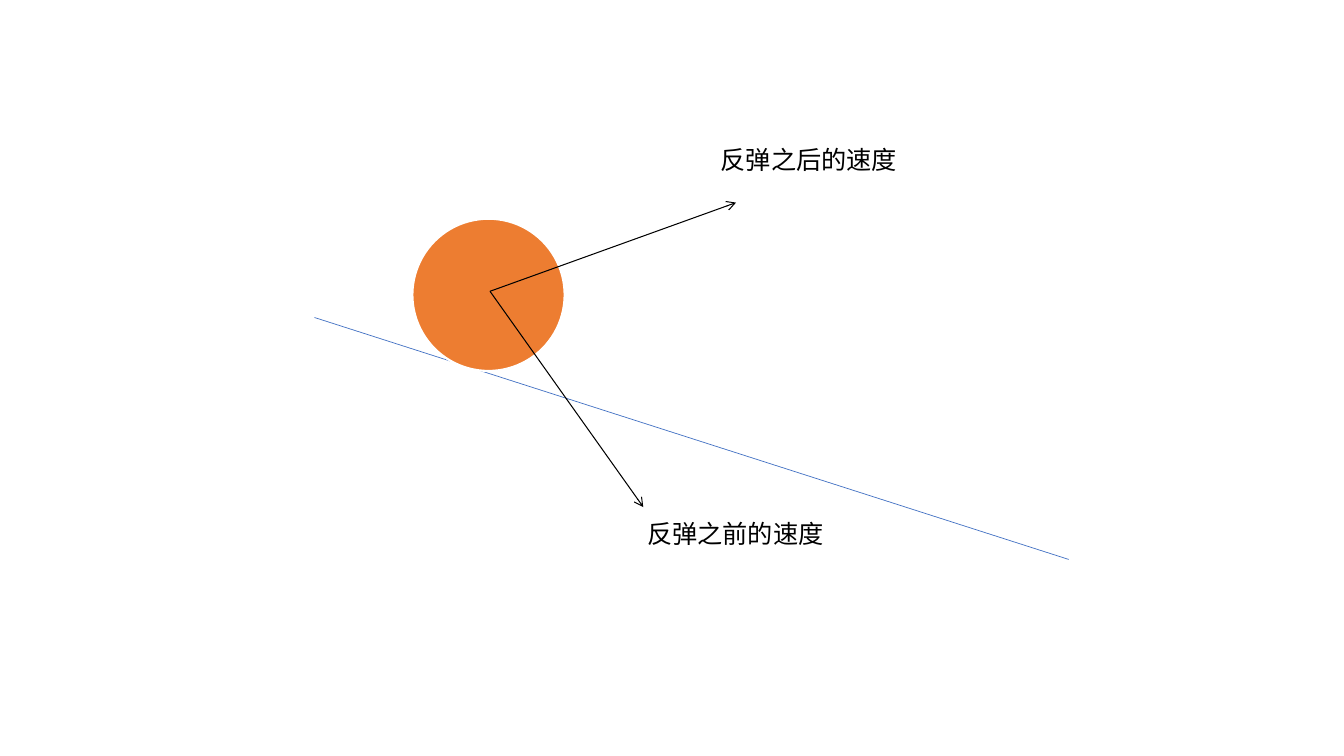
from lxml.etree import SubElement
from pptx import Presentation
from pptx.dml.color import RGBColor
from pptx.enum.shapes import MSO_CONNECTOR, MSO_SHAPE
from pptx.enum.text import MSO_AUTO_SIZE
from pptx.oxml.ns import qn
from pptx.util import Inches, Pt

COLORS = {"wall": "4472C4", "ball": "ED7D31", "edge": "FFFFFF", "ink": "000000"}


class Sketch:
    font = "Noto Sans CJK SC"
    size = 18

    def __init__(self, slide):
        self.shapes = slide.shapes

    def color(self, name):
        return RGBColor.from_string(COLORS[name])

    def stroke(self, line, color, width):
        line.color.rgb = self.color(color)
        line.width = Pt(width)

    def line(self, start, end, color, width):
        points = [Inches(v) for v in (*start, *end)]
        link = self.shapes.add_connector(MSO_CONNECTOR.STRAIGHT, *points)
        self.stroke(link.line, color, width)
        SubElement(link._element.spPr, qn("a:effectLst"))
        return link

    def arrow(self, start, end):
        link = self.line(start, end, "ink", 0.75)
        SubElement(link.line._get_or_add_ln(), qn("a:tailEnd"), type="arrow")

    def circle(self, left, top, size):
        box = [Inches(v) for v in (left, top, size, size)]
        ball = self.shapes.add_shape(MSO_SHAPE.OVAL, *box)
        ball.shadow.inherit = False
        ball.fill.solid()
        ball.fill.fore_color.rgb = self.color("ball")
        self.stroke(ball.line, "edge", 1.5)

    def label(self, text, left, top):
        box = [Inches(v) for v in (left, top, 1.97, 0.4)]
        frame = self.shapes.add_textbox(*box).text_frame
        frame.word_wrap = False
        frame.auto_size = MSO_AUTO_SIZE.SHAPE_TO_FIT_TEXT
        para = frame.paragraphs[0]
        para.text = text
        para.font.size = Pt(self.size)
        para.font.color.rgb = self.color("ink")
        para.font.name = self.font
        style = para._p.pPr.find(qn("a:defRPr"))
        SubElement(style, qn("a:ea"), typeface=self.font)


def main():
    deck = Presentation()
    deck.slide_width, deck.slide_height = Inches(13.33), Inches(7.5)
    sketch = Sketch(deck.slides.add_slide(deck.slide_layouts[6]))

    sketch.line((3.12, 3.15), (10.6, 5.55), "wall", 0.5)
    sketch.circle(4.09, 2.17, 1.51)
    center = (4.86, 2.89)
    for tip, text, spot in (
        ((7.3, 2.01), "反弹之后的速度", (7.05, 1.38)),
        ((6.38, 5.03), "反弹之前的速度", (6.32, 5.09)),
    ):
        sketch.arrow(center, tip)
        sketch.label(text, *spot)

    deck.save("out.pptx")


if __name__ == "__main__":
    main()
